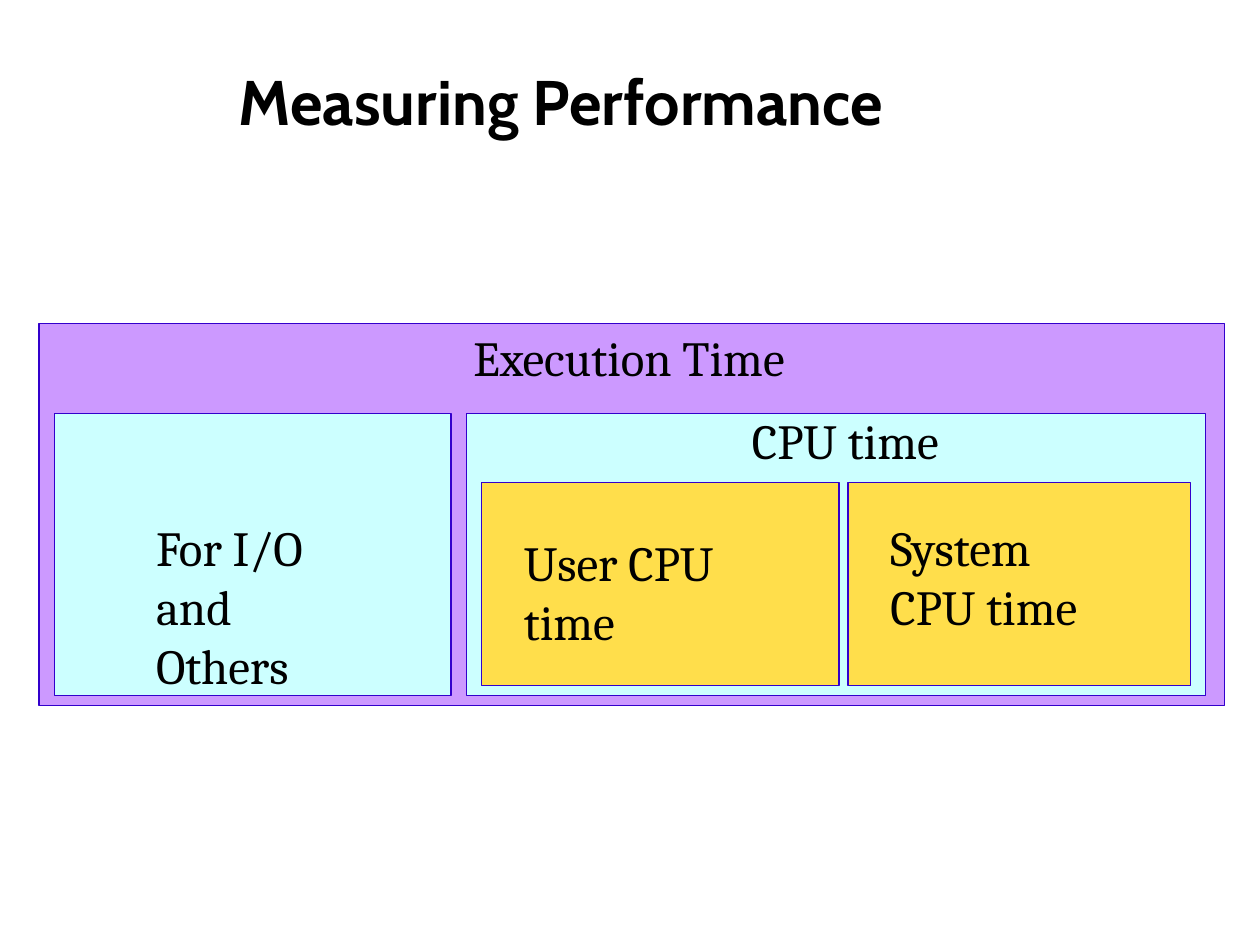
from pptx import Presentation
from pptx.dml.color import RGBColor
from pptx.enum.shapes import MSO_SHAPE
from pptx.enum.text import MSO_ANCHOR, MSO_AUTO_SIZE, PP_ALIGN
from pptx.util import Pt

RECTANGLE = MSO_SHAPE.RECTANGLE
MIDDLE = MSO_ANCHOR.MIDDLE
NO_FIT, GROW = MSO_AUTO_SIZE.NONE, MSO_AUTO_SIZE.SHAPE_TO_FIT_TEXT
CENTER = PP_ALIGN.CENTER
TITLE_ONLY = 5

# Content: rows of blocks share a top and a height
TITLE = "Measuring Performance"
WHOLE, PARTS, CPU_PARTS = (185, 218.2), (236.2, 161.3), (275.8, 115.9)
PURPLE, CYAN, YELLOW = "CC99FF", "CCFFFF", "FFDE4B"
BLOCKS = [  # row, left, width, fill
    (WHOLE, 22.3, 677.5, PURPLE),
    (PARTS, 31, 226.8, CYAN),
    (PARTS, 266.4, 422.6, CYAN),
    (CPU_PARTS, 275, 204.5, YELLOW),
    (CPU_PARTS, 484.6, 195.8, YELLOW),
]
LABELS = [  # words, left, top, width, height
    ("Execution Time", 263.5, 183.6, 198.7, 41),
    ("For I/O and Others", 82.1, 292.3, 139, 74.2),
    ("CPU time", 422.6, 231.1, 147.6, 41),
    ("User CPU time", 292.3, 301, 156.2, 74.2),
    ("System CPU time", 501.8, 292.3, 139, 74.2),
]
TITLE_FONT = {"name": "Cabin", "size": Pt(36), "bold": True}
LABEL_FONT = {"name": "Cambria", "size": Pt(28)}


def color(value):
    return RGBColor.from_string(value)


def set_values(target, values):
    for name, value in values.items():
        setattr(target, name, value)


def write(box, words, font, frame_format):
    frame = box.text_frame
    set_values(frame, {"word_wrap": True, **frame_format})
    para = frame.paragraphs[0]
    span = para.add_run()
    span.text = words
    set_values(span.font, font)
    span.font.color.rgb = color("000000")
    return para


def add_block(page, row, left, width, fill):
    top, height = row
    block = page.shapes.add_shape(RECTANGLE, Pt(left), Pt(top), Pt(width), Pt(height))
    block.shadow.inherit = False
    block.fill.solid()
    block.fill.fore_color.rgb = color(fill)
    block.line.color.rgb = color("3300CC")
    block.line.width = Pt(0.75)


deck = Presentation()
deck.slide_width, deck.slide_height = Pt(720), Pt(540)
page = deck.slides.add_slide(deck.slide_layouts[TITLE_ONLY])

# Title
title = page.shapes.title
set_values(title, {"left": Pt(54), "top": Pt(12.2), "width": Pt(510.5), "height": Pt(90)})
heading = write(title, TITLE, TITLE_FONT, {
    "auto_size": NO_FIT, "vertical_anchor": MIDDLE, "margin_left": Pt(29.5),
    "margin_right": Pt(7.2), "margin_top": Pt(3.6), "margin_bottom": Pt(3.6)})
heading.alignment = CENTER

# Nested blocks, outermost first
for block_values in BLOCKS:
    add_block(page, *block_values)

# Labels
for words, *bounds in LABELS:
    label = page.shapes.add_textbox(*map(Pt, bounds))
    write(label, words, LABEL_FONT, {"auto_size": GROW})

deck.save("out.pptx")
